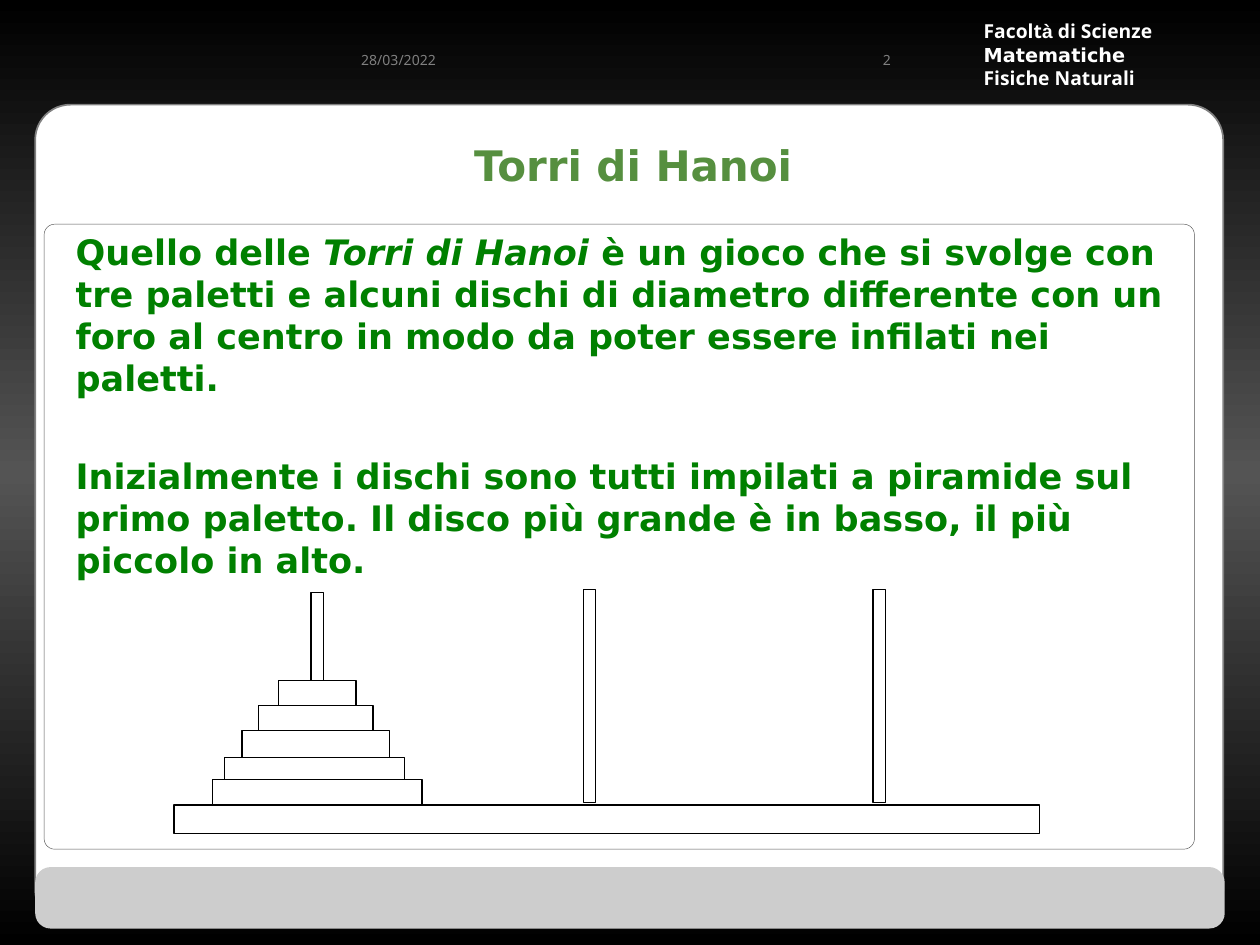
"""Build the slide that introduces the Towers of Hanoi."""
from copy import deepcopy

from pptx import Presentation
from pptx.dml.color import RGBColor
from pptx.enum.shapes import MSO_SHAPE
from pptx.enum.text import MSO_ANCHOR, MSO_AUTO_SIZE, PP_ALIGN
from pptx.oxml.xmlchemy import OxmlElement
from pptx.util import Cm, Pt

COLORS = {
    "black": "000000", "dark": "545454", "gray": "808080", "light": "CDCDCD",
    "white": "FFFFFF", "title": "568F3F", "green": "008000",
}
BODY_FONT = "DejaVu Sans"
SMALL_FONT = "Noto Sans"
PEG_WIDTH = 0.25
BASE_TOP = 16.23
DISCS = [(5.61, 13.72, 1.57), (5.21, 14.22, 2.31), (4.88, 14.73, 2.97),
         (4.52, 15.27, 3.63), (4.29, 15.72, 4.22)]


def color(name):
    """Return the named palette colour."""
    return RGBColor.from_string(COLORS[name])


def paint_background(slide):
    """Fill the background with a black, grey, black vertical gradient."""
    fill = slide.background.fill
    fill.gradient()
    fill.gradient_angle = 90
    stop_list = fill._fill._gradFill.gsLst
    stop_list.insert(1, deepcopy(stop_list[0]))
    for stop, position, name in zip(fill.gradient_stops, (0, 0.5, 1),
                                    ("black", "dark", "black")):
        stop.position = position
        stop.color.rgb = color(name)


def add_box(slide, left, top, width, height, fill="white", line="black",
            weight=0.75, radius=None):
    """Add a rectangle, rounded when a radius is given."""
    kind = MSO_SHAPE.RECTANGLE if radius is None else MSO_SHAPE.ROUNDED_RECTANGLE
    shape = slide.shapes.add_shape(kind, Cm(left), Cm(top), Cm(width), Cm(height))
    shape.shadow.inherit = False
    if radius is not None:
        shape.adjustments[0] = radius
    if fill:
        shape.fill.solid()
        shape.fill.fore_color.rgb = color(fill)
    else:
        shape.fill.background()
    if line:
        shape.line.color.rgb = color(line)
        shape.line.width = Pt(weight)
    else:
        shape.line.fill.background()
    return shape


def add_text(paragraph, text, size=20, font=BODY_FONT, fill="green",
             bold=True, italic=False):
    """Append a formatted run to a paragraph."""
    run = paragraph.add_run()
    run.text = text
    run.font.size = Pt(size)
    run.font.name = font
    run.font.bold = bold
    run.font.italic = italic
    run.font.color.rgb = color(fill)


def add_text_frame(slide, left, top, width, height, wrap=True):
    """Add a middle-anchored text box and return its frame."""
    box = slide.shapes.add_textbox(Cm(left), Cm(top), Cm(width), Cm(height))
    frame = box.text_frame
    frame.word_wrap = wrap
    frame.vertical_anchor = MSO_ANCHOR.MIDDLE
    return frame


def place(slide, shape, left, top, width, height):
    """Move a placeholder in front of the panels and return its frame."""
    slide.shapes._spTree.append(shape._element)
    shape.left, shape.top = Cm(left), Cm(top)
    shape.width, shape.height = Cm(width), Cm(height)
    shape.text_frame.auto_size = MSO_AUTO_SIZE.NONE
    return shape.text_frame


def add_header(slide):
    """Add the faculty name, the slide number and the date."""
    frame = add_text_frame(slide, 19.58, 0.56, 4.65, 1.07, wrap=False)
    lines = [
        [("Facolt", SMALL_FONT), ("à", "Arial"), (" di Scienze", SMALL_FONT)],
        [("Matematiche", BODY_FONT)],
        [("Fisiche Naturali", SMALL_FONT)],
    ]
    for index, runs in enumerate(lines):
        paragraph = frame.add_paragraph() if index else frame.paragraphs[0]
        paragraph.line_spacing = Pt(13.4)
        for text, font in runs:
            add_text(paragraph, text, size=11, font=font, fill="white")
    for text, left, width in (("2", 16.31, 1.9), ("28/03/2022", 6.35, 2.69)):
        paragraph = add_text_frame(slide, left, 0.58, width, 1.27).paragraphs[0]
        paragraph.alignment = PP_ALIGN.RIGHT
        add_text(paragraph, text, size=8, font=SMALL_FONT, fill="gray", bold=False)


def add_towers(slide):
    """Draw the base, the three pegs and the stack of discs."""
    add_box(slide, 3.51, BASE_TOP, 17.45, 0.58)
    add_box(slide, 6.27, 11.94, PEG_WIDTH, 1.78)
    for left in (11.76, 17.6):
        add_box(slide, left, 11.89, PEG_WIDTH, 4.29)
    bottoms = [top for _, top, _ in DISCS[1:]] + [BASE_TOP]
    for (left, top, width), bottom in zip(DISCS, bottoms):
        add_box(slide, left, top, width, bottom - top)


def add_title(slide):
    """Fill the title placeholder."""
    frame = place(slide, slide.shapes.title, 0.89, 2.13, 23.75, 2.39)
    frame.vertical_anchor = MSO_ANCHOR.MIDDLE
    paragraph = frame.paragraphs[0]
    paragraph.alignment = PP_ALIGN.CENTER
    add_text(paragraph, "Torri di Hanoi", size=24, fill="title")


def add_body(slide):
    """Fill the body placeholder with two unbulleted paragraphs."""
    frame = place(slide, slide.placeholders[1], 1.27, 4.52, 22.86, 12.5)
    frame.vertical_anchor = MSO_ANCHOR.TOP
    rules, start = frame.paragraphs[0], frame.add_paragraph()
    for paragraph, space in ((rules, 0), (start, 32)):
        paragraph.space_before = Pt(space)
        paragraph.line_spacing = Pt(24)
        properties = paragraph._p.get_or_add_pPr()
        properties.set("marL", "0")
        properties.set("indent", "0")
        properties.append(OxmlElement("a:buNone"))
    add_text(rules, "Quello delle ")
    add_text(rules, "Torri di Hanoi ", italic=True)
    add_text(rules, "è un gioco che si svolge con tre paletti e alcuni dischi di "
                    "diametro differente con un foro al centro in modo da poter "
                    "essere infilati nei paletti.")
    add_text(start, "Inizialmente i dischi sono tutti impilati a piramide sul primo "
                    "paletto. Il disco più grande è in basso, il più piccolo in alto.")


def main():
    """Build and save the presentation."""
    presentation = Presentation()
    presentation.slide_width, presentation.slide_height = Cm(25.4), Cm(19.05)
    slide = presentation.slides.add_slide(presentation.slide_layouts[1])
    paint_background(slide)
    add_box(slide, 0.71, 2.11, 23.95, 16.54, line="gray", weight=1, radius=0.043)
    add_box(slide, 0.71, 17.48, 23.98, 1.24, fill="light", line=None, radius=0.252)
    add_header(slide)
    add_towers(slide)
    add_title(slide)
    add_body(slide)
    add_box(slide, 0.89, 4.52, 23.19, 12.6, fill=None, line="dark",
            weight=0.25, radius=0.017)
    presentation.save("out.pptx")


main()
